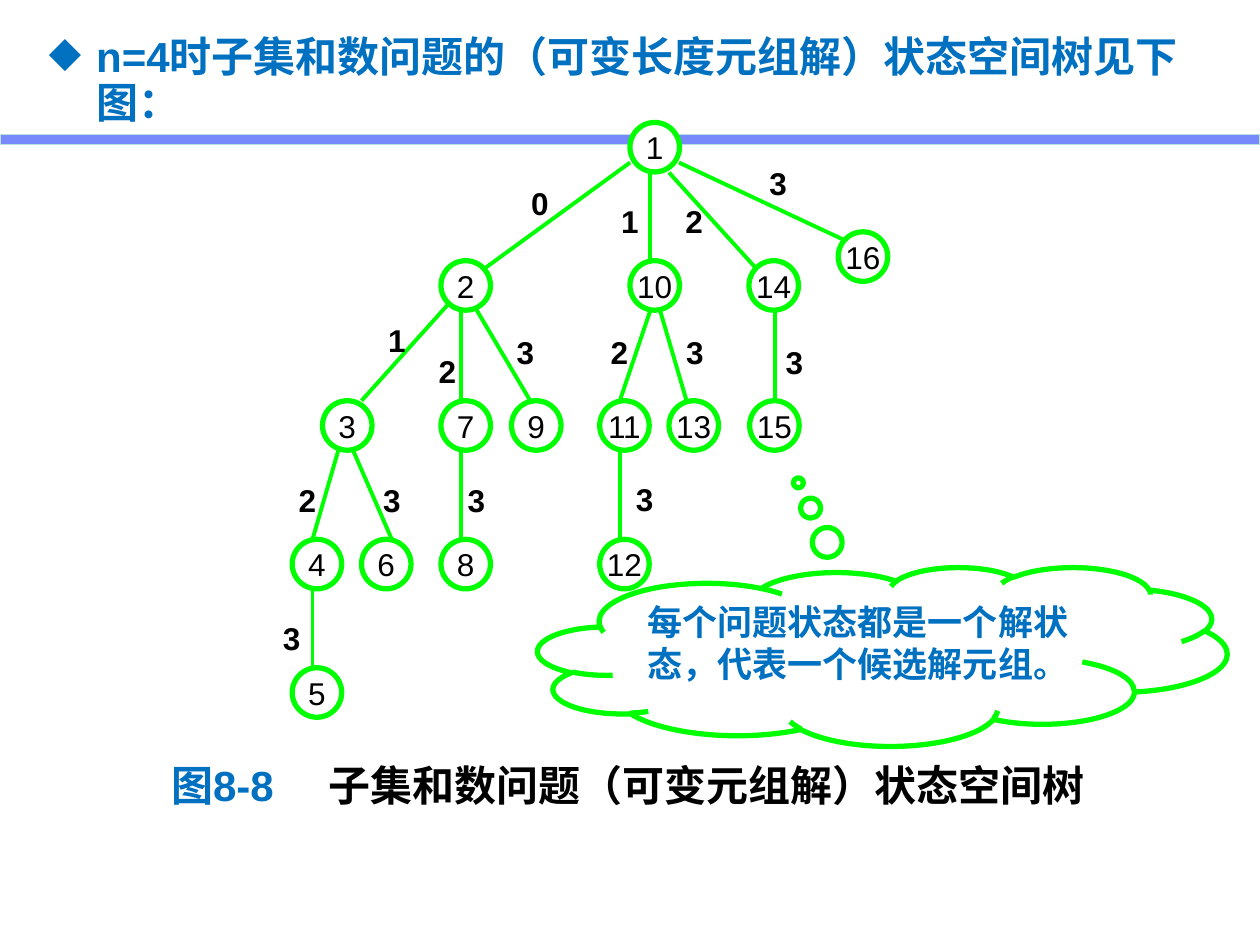
from pptx import Presentation
from pptx.dml.color import RGBColor
from pptx.enum.shapes import MSO_CONNECTOR as Connector, MSO_SHAPE as Shape
from pptx.enum.text import MSO_ANCHOR as Anchor, PP_ALIGN as Align
from pptx.oxml.ns import qn
from pptx.util import Pt
from lxml.etree import SubElement

BLUE, GREEN, BLACK, WHITE = "0070C0", "00FF00", "000000", "FFFFFF"
BAND, BAND_EDGE = "7889FB", "BBE0E3"

HEADING = "n=4时子集和数问题的（可变长度元组解）状态空间树见下图："
CAPTION = [("图8-8\t", BLUE), ("子集和数问题（可变元组解）状态空间树", BLACK)]
REMARK = "每个问题状态都是一个解状态，代表一个候选解元组。"

NODE_SIZE = 28.3
LEVELS = [
    (70, {1: 360}),
    (132.5, {16: 479}),
    (149, {2: 252, 10: 360, 14: 428}),
    (229, {3: 184.3, 7: 252, 9: 292.3, 11: 342.7, 13: 382.3, 15: 428.4}),
    (308.2, {4: 167, 6: 206.6, 8: 252, 12: 342.7}),
    (381.6, {5: 167}),
]

BRANCHES = [
    ("0", (360, 92.9), (275, 154.8), (308.5, 116)),
    ("1", (371.5, 98.6), (371.5, 149), (360, 126)),
    ("2", (382.3, 98.6), (433.4, 154.8), (396.7, 126)),
    ("3", (388, 92.9), (484.6, 138.2), (444.6, 104.4)),
    ("1", (257.8, 172), (206.6, 229), (226.8, 194.4)),
    ("2", (263.5, 177.8), (263.5, 234.7), (255.6, 211.7)),
    ("3", (269.3, 172), (303, 229), (300.2, 201)),
    ("2", (371.5, 177.8), (354.2, 229), (353.9, 201)),
    ("3", (377.3, 177.8), (393.8, 234), (397.1, 201)),
    ("3", (442.8, 177.8), (442.8, 229), (454, 206.6)),
    ("2", (195.1, 251.3), (178.6, 308.2), (175.7, 285.8)),
    ("3", (201.6, 257), (223.9, 308.2), (223.9, 285.8)),
    ("3", (263.5, 257), (263.5, 313.9), (272.2, 285.8)),
    ("3", (354.2, 251.3), (354.2, 308.2), (368.3, 285.1)),
    ("3", (178.6, 336.2), (178.6, 381.6), (166.7, 364.3)),
]
LABEL_WIDTH, LABEL_HEIGHT = 17, 21.6


def color(value):
    return RGBColor.from_string(value)


def style(run, size, value, bold=True):
    run.font.name = "Arial"
    run.font.size = Pt(size)
    run.font.bold = bold
    run.font.color.rgb = color(value)


def add_filled(shapes, kind, box, fill, edge=None, width=0):
    shape = shapes.add_shape(kind, *map(Pt, box))
    shape.shadow.inherit = False
    shape.fill.solid()
    shape.fill.fore_color.rgb = color(fill)
    if edge:
        shape.line.color.rgb = color(edge)
        shape.line.width = Pt(width)
    else:
        shape.line.fill.background()
    return shape


def write(shape, text, size, value, bold=True, align=Align.CENTER, anchor=Anchor.TOP):
    frame = shape.text_frame
    frame.word_wrap = True
    frame.vertical_anchor = anchor
    frame.text = text
    paragraph = frame.paragraphs[0]
    paragraph.alignment = align
    style(paragraph.runs[0], size, value, bold)
    return frame


def add_caption(shapes):
    caption = add_filled(shapes, Shape.RECTANGLE, (90.7, 430.6, 555.8, 36), WHITE)
    frame = caption.text_frame
    frame.word_wrap = True
    frame.vertical_anchor = Anchor.TOP
    paragraph = frame.paragraphs[0]
    paragraph.alignment = Align.LEFT
    stops = SubElement(paragraph._p.get_or_add_pPr(), qn("a:tabLst"))
    SubElement(stops, qn("a:tab"), pos=str(Pt(90)), algn="l")
    for text, value in CAPTION:
        run = paragraph.add_run()
        run.text = text
        style(run, 24, value)


def add_branch(shapes, label, start, end, center):
    branch = shapes.add_connector(Connector.STRAIGHT, *map(Pt, start + end))
    branch.line.color.rgb = color(GREEN)
    branch.line.width = Pt(2.25)
    SubElement(branch._element.spPr, qn("a:effectLst"))
    x, y = center
    box = (x - LABEL_WIDTH / 2, y - LABEL_HEIGHT / 2, LABEL_WIDTH, LABEL_HEIGHT)
    frame = write(shapes.add_textbox(*map(Pt, box)), label, 18, BLACK)
    frame.margin_left = frame.margin_right = frame.margin_top = frame.margin_bottom = 0


def add_tree(slide):
    tree = slide.shapes.add_group_shape().shapes
    for branch in BRANCHES:
        add_branch(tree, *branch)
    for top, nodes in LEVELS:
        for number, left in nodes.items():
            node = add_filled(tree, Shape.OVAL, (left, top, NODE_SIZE, NODE_SIZE), WHITE, GREEN, 3)
            frame = write(node, str(number), 18, BLACK, bold=False, anchor=Anchor.MIDDLE)
            frame.word_wrap = False


def add_remark(shapes):
    cloud = add_filled(shapes, Shape.CLOUD_CALLOUT, (307.4, 324, 393.8, 102.2), WHITE, GREEN, 3)
    cloud.adjustments[0] = -0.122
    cloud.adjustments[1] = -0.971
    write(cloud, REMARK, 20, BLUE)


def add_heading(shapes):
    box = shapes.add_textbox(Pt(20.9), Pt(17.3), Pt(671.8), Pt(59))
    frame = write(box, HEADING, 24, BLUE, align=Align.LEFT)
    paragraph = frame.paragraphs[0]
    paragraph.line_spacing = 0.9
    properties = paragraph._p.get_or_add_pPr()
    properties.set("marL", str(Pt(27)))
    properties.set("indent", str(-Pt(27)))
    bullet_color = SubElement(properties, qn("a:buClr"))
    SubElement(bullet_color, qn("a:srgbClr"), val=BLUE)
    SubElement(properties, qn("a:buChar"), char="◆")


def main():
    deck = Presentation()
    deck.slide_width, deck.slide_height = Pt(720), Pt(540)
    slide = deck.slides.add_slide(deck.slide_layouts[6])
    add_filled(slide.shapes, Shape.RECTANGLE, (0, 77, 720, 5.8), BAND, BAND_EDGE, 0.75)
    add_caption(slide.shapes)
    add_tree(slide)
    add_remark(slide.shapes)
    add_heading(slide.shapes)
    deck.save("out.pptx")


if __name__ == "__main__":
    main()
